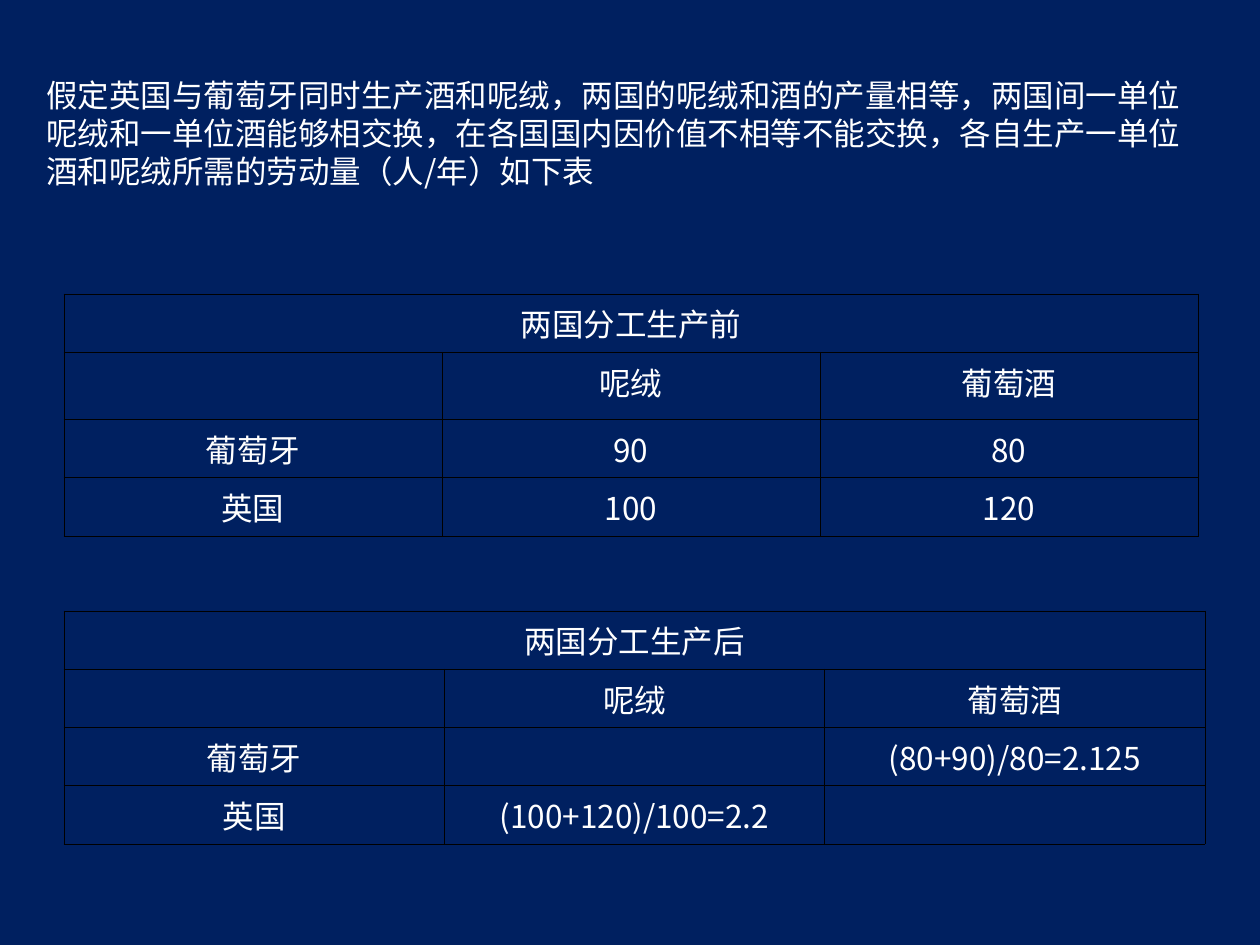
import pptx
import pptx.dml.color
import pptx.enum.text
import pptx.oxml.ns
import pptx.util
from lxml import etree

EMU_PER_PX = 914400 / 126
NAVY = pptx.dml.color.RGBColor(0x00, 0x20, 0x60)
WHITE = pptx.dml.color.RGBColor(0xFF, 0xFF, 0xFF)
BLACK = pptx.dml.color.RGBColor(0x00, 0x00, 0x00)
FONT = "Noto Sans CJK SC"
qn = pptx.oxml.ns.qn


def px(length):
    return pptx.util.Emu(round(length * EMU_PER_PX))


def add_run(paragraph, wording):
    """Add white 18 pt text with the font set for Latin and East Asian letters."""
    run = paragraph.add_run()
    run.text = wording
    run.font.size = pptx.util.Pt(18)
    run.font.name = FONT
    run.font.color.rgb = WHITE
    etree.SubElement(run.font._element, qn("a:ea"), typeface=FONT)


prs = pptx.Presentation()
prs.slide_width, prs.slide_height = px(1260), px(945)
slide = prs.slides.add_slide(prs.slide_layouts[6])
slide.background.fill.solid()
slide.background.fill.fore_color.rgb = NAVY

# Output before and after the two countries specialise
PRODUCTION = [
    (294, 1134, [58, 67, 58, 59], [
        ["两国分工生产前", "", ""],
        ["", "呢绒", "葡萄酒"],
        ["葡萄牙", "90", "80"],
        ["英国", "100", "120"],
    ]),
    (611, 1141, [58, 58, 58, 58], [
        ["两国分工生产后", "", ""],
        ["", "呢绒", "葡萄酒"],
        ["葡萄牙", "", "(80+90)/80=2.125"],
        ["英国", "(100+120)/100=2.2", ""],
    ]),
]
for top, width, row_heights, rows in PRODUCTION:
    production = slide.shapes.add_table(
        4, 3, px(64), px(top), px(width), px(sum(row_heights))).table
    production.first_row = False
    production.horz_banding = False
    for row, height in zip(production.rows, row_heights):
        row.height = px(height)
    production.cell(0, 0).merge(production.cell(0, 2))
    for r, row in enumerate(rows):
        for c, wording in enumerate(row):
            cell = production.cell(r, c)
            properties = cell._tc.get_or_add_tcPr()
            for side in ("a:lnL", "a:lnR", "a:lnT", "a:lnB"):
                border = etree.SubElement(
                    properties, qn(side), w=str(pptx.util.Pt(0.45)))
                paint = etree.SubElement(border, qn("a:solidFill"))
                etree.SubElement(paint, qn("a:srgbClr"), val=str(BLACK))
            cell.fill.background()
            if wording:
                paragraph = cell.text_frame.paragraphs[0]
                paragraph.alignment = pptx.enum.text.PP_ALIGN.CENTER
                add_run(paragraph, wording)

premise = slide.shapes.add_textbox(px(34), px(66), px(1181), px(149)).text_frame
premise.word_wrap = True
premise.margin_top, premise.margin_bottom = px(10), px(3)
add_run(premise.paragraphs[0],
        "假定英国与葡萄牙同时生产酒和呢绒，两国的呢绒和酒的产量相等，"
        "两国间一单位呢绒和一单位酒能够相交换，在各国国内因价值不相等不能交换，"
        "各自生产一单位酒和呢绒所需的劳动量（人/年）如下表")

prs.save("out.pptx")
